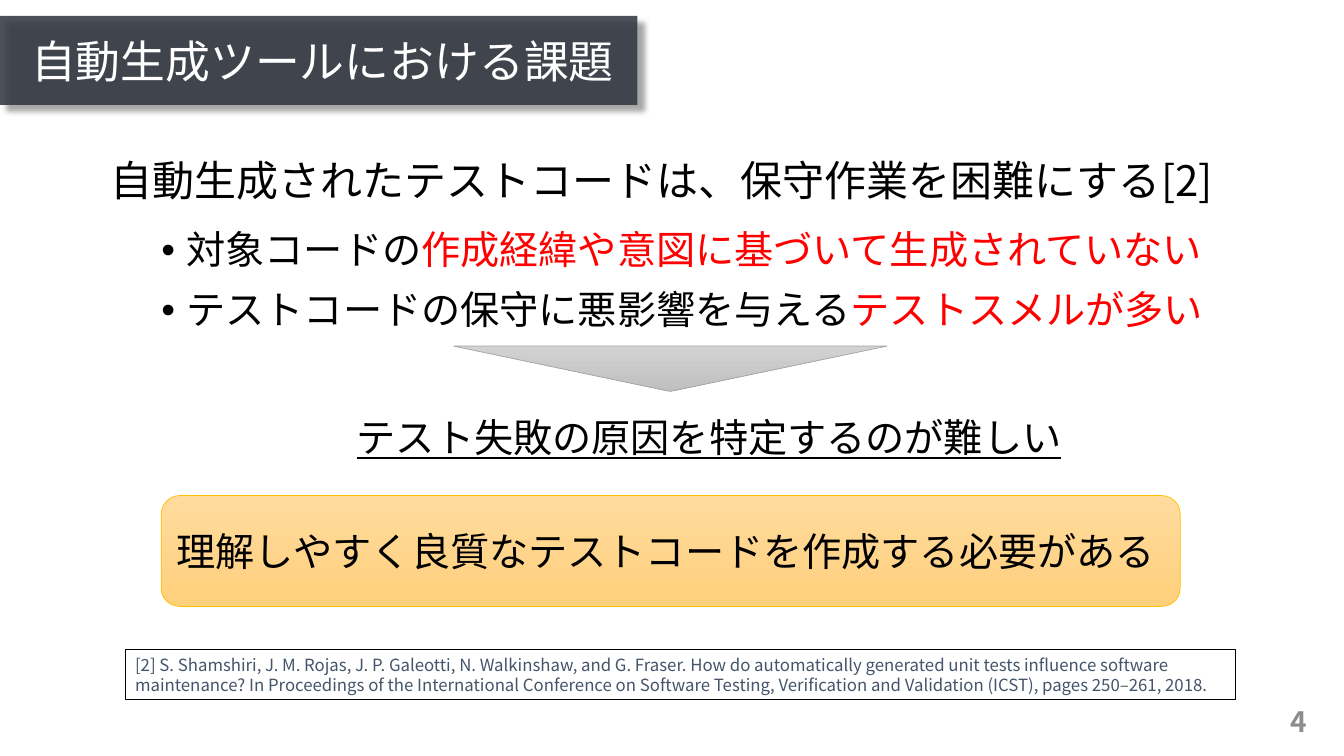
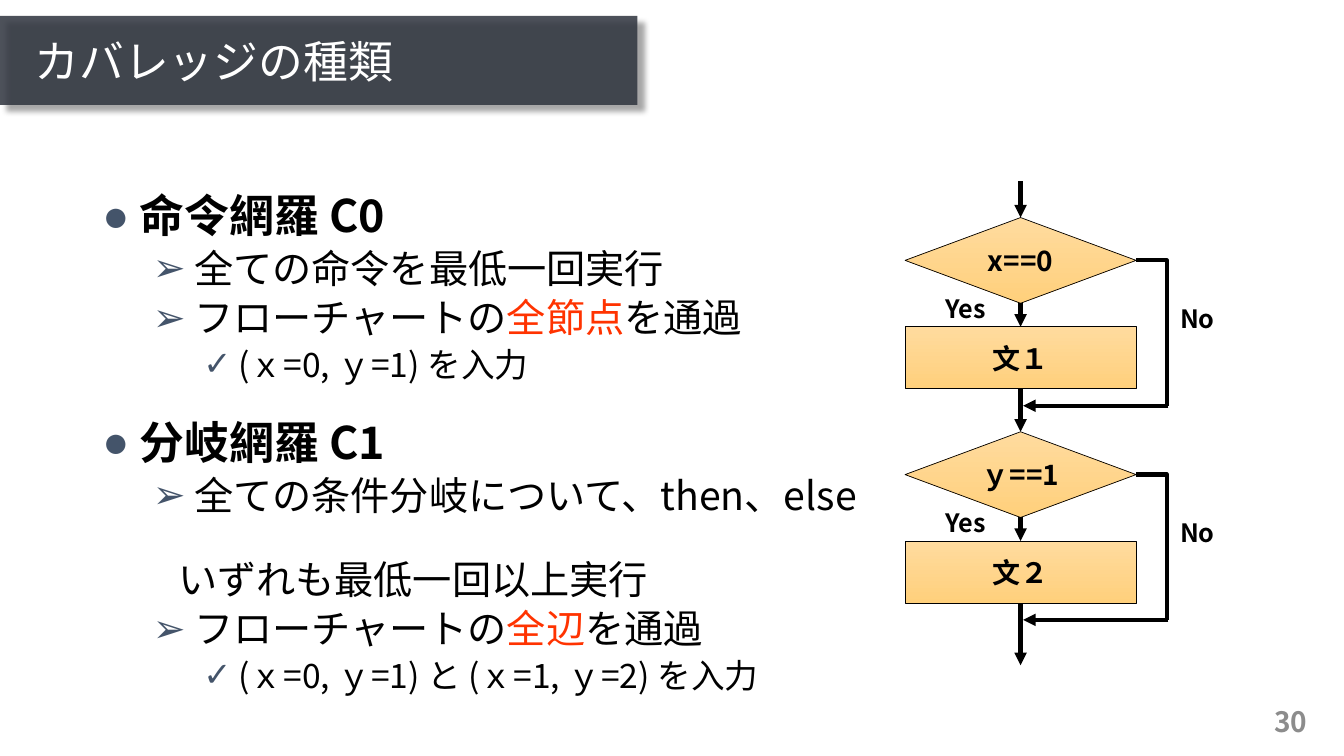
from dataclasses import dataclass
from typing import Optional

from lxml import etree
from pptx import Presentation
from pptx import util as u
from pptx.dml.color import RGBColor
from pptx.enum import shapes, text
from pptx.oxml import ns

COLS, ROWS = 160, 90
CELL = u.Inches(1) / 12
FONT = "Noto Sans CJK JP"
COLORS = {
    "ink": "000000", "paper": "FFFFFF", "band": "30353F", "page": "8C8C8C",
    "slate": "44546A", "red": "FF0000", "orange": "FF3300",
    "amber_light": "FFDB9E", "amber_dark": "FFD07C", "amber_edge": "FFC000",
    "grey_light": "D2D2D2", "grey_dark": "C0C0C0", "grey_edge": "A5A5A5",
}
AMBER = ("amber_light", "amber_dark")
GREY = ("grey_light", "grey_dark")
SHAPE = shapes.MSO_SHAPE
LEFT, CENTER, RIGHT = text.PP_ALIGN.LEFT, text.PP_ALIGN.CENTER, text.PP_ALIGN.RIGHT


@dataclass(frozen=True)
class Area:
    col: float
    row: float
    cols: float
    rows: float

    def emu(self) -> list[int]:
        return [cells(n) for n in (self.col, self.row, self.cols, self.rows)]


@dataclass(frozen=True)
class Span:
    words: str
    color: str = "ink"
    bold: bool = False
    underline: bool = False


@dataclass(frozen=True)
class Level:
    depth: int
    size: int
    margin: float
    hanging: float = 0
    bullet: str = ""
    bullet_color: str = "ink"


@dataclass(frozen=True)
class Item:
    level: Level
    spans: tuple[Span, ...]
    before: float = 5


@dataclass(frozen=True)
class Branch:
    condition: str
    statement: str
    exit_rows: float


BAND = Area(0, 1.9, 75.9, 10.6)
PAGE_NUMBER = Area(120.8, 83.3, 36, 4.8)

LEAD = Level(0, 30, 0)
POINT = Level(1, 28, 0.75, 0.25, "•")
RESULT = Level(1, 28, 2.44)
HEADING = Level(0, 32, 0.37, 0.37, "●", "slate")
DETAIL = Level(1, 28, 0.91, 0.41, "➢", "slate")
CONTINUED = Level(1, 28, 0.75)
EXAMPLE = Level(2, 24, 1.35, 0.35, "✓", "slate")

ISSUES = [
    Item(LEAD, (Span("自動生成されたテストコードは、保守作業を困難にする[2]"),)),
    Item(POINT, (Span("対象コードの"),
                 Span("作成経緯や意図に基づいて生成されていない", "red")), 18),
    Item(POINT, (Span("テストコードの保守に悪影響を与える"),
                 Span("テストスメルが多い", "red")), 12.5),
    Item(RESULT, (Span("テスト失敗の原因を特定するのが難しい", underline=True),), 61),
]
COVERAGE = [
    Item(HEADING, (Span("命令網羅 C0", bold=True),)),
    Item(DETAIL, (Span("全ての命令を最低一回実行"),)),
    Item(DETAIL, (Span("フローチャートの"), Span("全節点", "orange"), Span("を通過"))),
    Item(EXAMPLE, (Span("(ｘ=0, ｙ=1) を入力"),)),
    Item(HEADING, (Span("分岐網羅 C1", bold=True),), 26),
    Item(DETAIL, (Span("全ての条件分岐について、then、else"),)),
    Item(CONTINUED, (Span("いずれも最低一回以上実行"),), 30),
    Item(DETAIL, (Span("フローチャートの"), Span("全辺", "orange"), Span("を通過"))),
    Item(EXAMPLE, (Span("(ｘ=0, ｙ=1) と (ｘ=1, ｙ=2) を入力"),)),
]
CITATION = (
    "[2] S. Shamshiri, J. M. Rojas, J. P. Galeotti, N. Walkinshaw, and G. Fraser. "
    "How do automatically generated unit tests inﬂuence software maintenance? "
    "In Proceedings of the International Conference on Software Testing, "
    "Veriﬁcation and Validation (ICST), pages 250–261, 2018."
)
BRANCHES = [Branch("x==0", "文１", 5.1), Branch("ｙ==1", "文２", 7.4)]

AXIS, FLOW_TOP, ENTRY_TOP, BRANCH_PITCH = 121.5, 25.9, 21.6, 25.5
NODE_COLS, DECISION_ROWS, STATEMENT_ROWS = 27.5, 10.2, 7.4
STATEMENT_DROP, MERGE_DROP, BYPASS = 13, 22.4, 138.9


def cells(count: float) -> int:
    return round(count * CELL)


def rgb(color: str) -> RGBColor:
    return RGBColor.from_string(COLORS[color])


def add_xml(parent, tag: str, **attributes):
    return etree.SubElement(parent, ns.qn(tag), attributes)


def write(paragraph, words: str, *, size: float, color: str = "ink",
          bold: bool = False, underline: bool = False,
          align: text.PP_ALIGN = LEFT) -> None:
    paragraph.alignment = align
    run = paragraph.add_run()
    run.text = words
    font = run.font
    font.size, font.bold, font.underline = u.Pt(size), bold, underline
    font.color.rgb = rgb(color)
    font.name = FONT
    add_xml(run._r.get_or_add_rPr(), "a:ea", typeface=FONT)


def place(placeholder, area: Area) -> None:
    placeholder.left, placeholder.top, placeholder.width, placeholder.height = area.emu()
    placeholder.text_frame.auto_size = text.MSO_AUTO_SIZE.NONE


def add_label(slide, area: Area, words: str, **style) -> None:
    frame = slide.shapes.add_textbox(*area.emu()).text_frame
    frame.word_wrap = True
    write(frame.paragraphs[0], words, **style)


def add_block(slide, kind: SHAPE, area: Area, *, fill: tuple[str, ...],
              edge: Optional[str] = None, edge_width: float = 0.5,
              words: str = "", **style):
    block = slide.shapes.add_shape(kind, *area.emu())
    block.shadow.inherit = False
    if len(fill) == 1:
        block.fill.solid()
        block.fill.fore_color.rgb = rgb(fill[0])
    else:
        block.fill.gradient()
        block.fill.gradient_angle = 270
        for stop, color in zip(block.fill.gradient_stops, fill):
            stop.color.rgb = rgb(color)
    if edge:
        block.line.color.rgb = rgb(edge)
        block.line.width = u.Pt(edge_width)
    else:
        block.line.fill.background()
    if words:
        block.text_frame.vertical_anchor = text.MSO_ANCHOR.MIDDLE
        write(block.text_frame.paragraphs[0], words, **style)
    return block


def add_path(slide, start: tuple[float, float], end: tuple[float, float], *,
             bent: bool = False) -> None:
    kind = shapes.MSO_CONNECTOR.ELBOW if bent else shapes.MSO_CONNECTOR.STRAIGHT
    path_line = slide.shapes.add_connector(kind, *(cells(n) for n in (*start, *end)))
    path_line.line.color.rgb = rgb("ink")
    path_line.line.width = u.Pt(3)
    properties = path_line._element.spPr
    if bent:
        properties.find(ns.qn("a:prstGeom")).set("prst", "bentConnector2")
    else:
        add_xml(path_line.line._get_or_add_ln(), "a:tailEnd", type="triangle")
    add_xml(properties, "a:effectLst")


def fill_list(frame, items: list[Item]) -> None:
    for index, item in enumerate(items):
        paragraph = frame.add_paragraph() if index else frame.paragraphs[0]
        level = item.level
        paragraph.level = level.depth
        paragraph.line_spacing = 0.9
        paragraph.space_before = u.Pt(item.before)
        properties = paragraph._p.get_or_add_pPr()
        properties.set("marL", str(u.Inches(level.margin)))
        properties.set("indent", str(-u.Inches(level.hanging)))
        if level.bullet:
            tint = add_xml(properties, "a:buClr")
            add_xml(tint, "a:srgbClr", val=COLORS[level.bullet_color])
            add_xml(properties, "a:buFont", typeface="Arial")
            add_xml(properties, "a:buChar", char=level.bullet)
        else:
            add_xml(properties, "a:buNone")
        for span in item.spans:
            write(paragraph, span.words, size=level.size, color=span.color,
                  bold=span.bold, underline=span.underline)


def add_band(layout, slide) -> None:
    band = add_block(slide, SHAPE.RECTANGLE, BAND, fill=("band",))
    properties = band._element.spPr
    tint = properties.find(ns.qn("a:solidFill"))[0]
    add_xml(tint, "a:alpha", val="86000")
    shadow = add_xml(properties.find(ns.qn("a:effectLst")), "a:outerShdw",
                     blurRad=str(u.Pt(4)), dist=str(u.Pt(6)), dir="2700000",
                     algn="tl", rotWithShape="0")
    shade = add_xml(shadow, "a:srgbClr", val=COLORS["ink"])
    add_xml(shade, "a:alpha", val="40000")
    layout.shapes._spTree.insert(2, band._element)


def add_page(deck, heading: str, number: int, *, title_col: float,
             body: Area, items: list[Item]):
    slide = deck.slides.add_slide(deck.slide_layouts[1])
    title, content = slide.placeholders
    place(title, Area(title_col, 2.8, 73.6, 9.6))
    title.text_frame.vertical_anchor = text.MSO_ANCHOR.MIDDLE
    title.text_frame.paragraphs[0].line_spacing = 0.9
    write(title.text_frame.paragraphs[0], heading, size=32, color="paper")
    place(content, body)
    fill_list(content.text_frame, items)
    add_label(slide, PAGE_NUMBER, str(number), size=20, color="page",
              bold=True, align=RIGHT)
    return slide


def add_branch(slide, branch: Branch, top: float) -> None:
    left, right = AXIS - NODE_COLS / 2, AXIS + NODE_COLS / 2
    statement_top = top + STATEMENT_DROP
    statement_end = statement_top + STATEMENT_ROWS
    merge = top + MERGE_DROP
    nodes = [
        (SHAPE.FLOWCHART_DECISION, top, DECISION_ROWS, branch.condition),
        (SHAPE.RECTANGLE, statement_top, STATEMENT_ROWS, branch.statement),
    ]
    for kind, row, rows, words in nodes:
        add_block(slide, kind, Area(left, row, NODE_COLS, rows), fill=AMBER,
                  edge="ink", words=words, size=20, bold=True, align=CENTER)
    add_path(slide, (AXIS, top + DECISION_ROWS), (AXIS, statement_top))
    add_path(slide, (AXIS, statement_end), (AXIS, statement_end + branch.exit_rows))
    add_path(slide, (right, top + DECISION_ROWS / 2), (BYPASS, merge), bent=True)
    add_path(slide, (BYPASS + 0.2, merge), (AXIS + 0.3, merge))
    for words, col, drop in (("Yes", 111.4, 8.4), ("No", 139.3, 9.6)):
        add_label(slide, Area(col, top + drop, 8.8, 4.8), words, size=18, bold=True)


def main() -> None:
    deck = Presentation()
    deck.slide_width, deck.slide_height = cells(COLS), cells(ROWS)

    issues = add_page(deck, "自動生成ツールにおける課題", 4, title_col=2.5,
                      body=Area(12, 18.5, 139, 46.7), items=ISSUES)
    add_band(deck.slide_layouts[1], issues)
    add_block(issues, SHAPE.RECTANGLE, Area(14.9, 77.3, 132.2, 6), fill=("paper",),
              edge="ink", edge_width=0.75, words=CITATION, size=12, color="slate")
    add_block(issues, SHAPE.FLOWCHART_MERGE, Area(54, 41.2, 51.6, 5.4),
              fill=GREY, edge="grey_edge")
    add_block(issues, SHAPE.FLOWCHART_ALTERNATE_PROCESS, Area(19.2, 59, 121.3, 13.2),
              fill=AMBER, edge="amber_edge", size=28,
              words="理解しやすく良質なテストコードを作成する必要がある")

    coverage = add_page(deck, "カバレッジの種類", 30, title_col=2.9,
                        body=Area(11, 22.5, 98, 60.1), items=COVERAGE)
    add_path(coverage, (AXIS, ENTRY_TOP), (AXIS, FLOW_TOP))
    for index, branch in enumerate(BRANCHES):
        add_branch(coverage, branch, FLOW_TOP + index * BRANCH_PITCH)

    deck.save("out.pptx")


if __name__ == "__main__":
    main()
